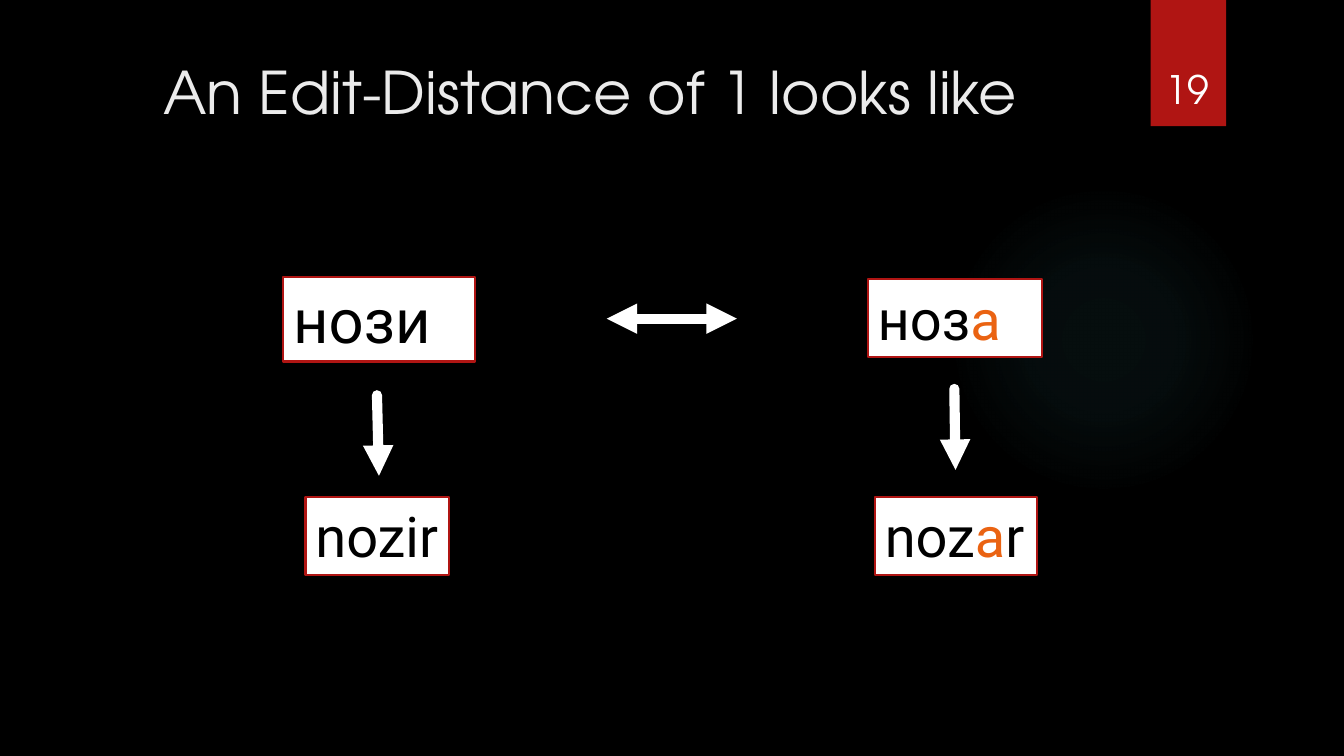
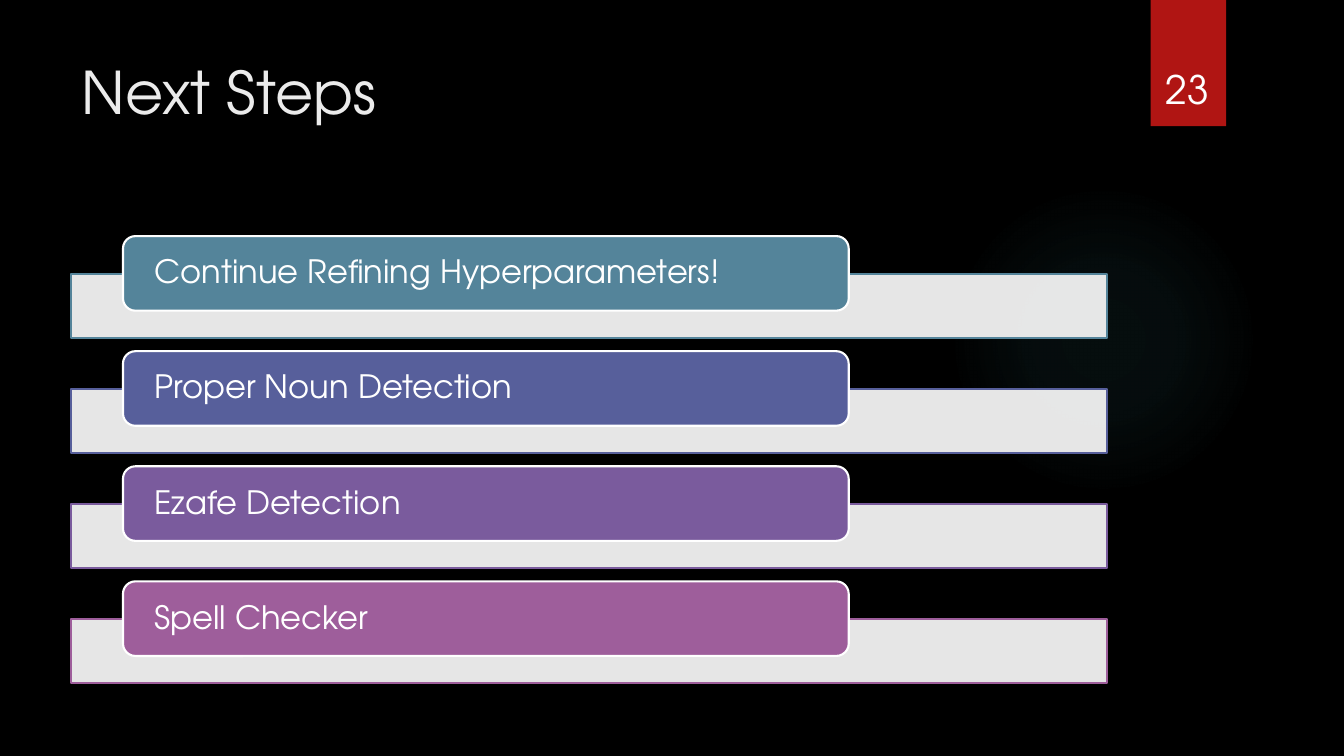
from lxml import etree
from pptx import Presentation
from pptx.dml.color import RGBColor
from pptx.enum import shapes, text
from pptx.oxml import ns, parse_xml
from pptx.util import Cm, Pt

# Shared look
BLACK, WHITE, RED, ORANGE = "000000", "FFFFFF", "B01513", "EA6312"
TITLE_COLOUR, GLOW_COLOUR = "EBEBEB", "50B9C1"
GLOW_STOPS = [(0, 7), (36, 6), (69, 0)]  # position and opacity, percent
HEADING_FONT, WORD_FONT = "TeX Gyre Adventor", "Roboto"
LEFT = 1.8

# Steps: equal rows of a pale rail with a coloured card on it
STEPS = [
    ("Continue Refining Hyperparameters!", "54849A"),
    ("Proper Noun Detection", "575F9B"),
    ("Ezafe Detection", "7A5B9D"),
    ("Spell Checker", "9E5E9B"),
]
STEP_TOP, STEP_PITCH, RAIL_DROP = 5.95, 2.9, 0.96


def colour(hex_text):
    return RGBColor.from_string(hex_text)


def lengths(*values):
    return [Cm(value) for value in values]


def add_run(paragraph, wording, size, font, run_colour):
    run = paragraph.add_run()
    run.text = wording
    run.font.size = Pt(size)
    run.font.name = font
    run.font.color.rgb = colour(run_colour)


def add_block(slide, kind, place, fill=None, line=None):
    block = slide.shapes.add_shape(kind, *lengths(*place))
    block.shadow.inherit = False
    if fill:
        block.fill.solid()
        block.fill.fore_color.rgb = colour(fill)
    else:
        block.fill.background()
    if line:
        block.line.color.rgb = colour(line)
        block.line.width = Pt(1.5)
    else:
        block.line.fill.background()
    return block


def add_arrow(slide, start, end, ends=("tailEnd",)):
    arrow = slide.shapes.add_connector(
        shapes.MSO_CONNECTOR.STRAIGHT, *lengths(*start, *end))
    arrow.line.color.rgb = colour(WHITE)
    arrow.line.width = Pt(7.25)
    outline = arrow.element.spPr.find(ns.qn("a:ln"))
    outline.set("cap", "rnd")
    for name in ends:
        etree.SubElement(outline, ns.qn("a:" + name), type="triangle")
    etree.SubElement(arrow.element.spPr, ns.qn("a:effectLst"))


def add_glow(slide):
    glow = add_block(slide, shapes.MSO_SHAPE.OVAL, (23.9, 4.65, 7.82, 7.82))
    stops = "".join(
        f'<a:gs pos="{place * 1000}"><a:srgbClr val="{GLOW_COLOUR}">'
        f'<a:alpha val="{opacity * 1000}"/></a:srgbClr></a:gs>'
        for place, opacity in GLOW_STOPS)
    gradient = parse_xml(
        f'<a:gradFill {ns.nsdecls("a")}><a:gsLst>{stops}</a:gsLst>'
        '<a:path path="circle"><a:fillToRect l="50000" t="50000" r="50000" b="50000"/>'
        '</a:path></a:gradFill>')
    properties = glow.element.spPr
    properties.replace(properties.find(ns.qn("a:noFill")), gradient)


def add_page(deck, heading, number, alignment):
    slide = deck.slides.add_slide(deck.slide_layouts[5])
    add_glow(slide)
    add_block(slide, shapes.MSO_SHAPE.RECTANGLE, (29, 0, 1.9, 3.18), RED)

    # Title
    title = slide.shapes.title
    title.left, title.top, title.width, title.height = lengths(LEFT, 1.27, 26.14, 3.89)
    title.text_frame.vertical_anchor = text.MSO_ANCHOR.TOP
    title.text_frame.auto_size = text.MSO_AUTO_SIZE.NONE
    paragraph = title.text_frame.paragraphs[0]
    paragraph.alignment = alignment
    add_run(paragraph, heading, 42, HEADING_FONT, TITLE_COLOUR)

    # Page number on the ribbon
    page_number = slide.shapes.add_textbox(*lengths(28.75, 0.83, 2.34, 2.13)).text_frame
    page_number.word_wrap = True
    page_number.vertical_anchor = text.MSO_ANCHOR.BOTTOM
    paragraph = page_number.paragraphs[0]
    paragraph.alignment = text.PP_ALIGN.CENTER
    add_run(paragraph, number, 28, HEADING_FONT, WHITE)
    return slide


def add_word(slide, place, parts, size=40):
    word = add_block(slide, shapes.MSO_SHAPE.RECTANGLE, place, WHITE, RED)
    frame = word.text_frame
    frame.word_wrap = True
    frame.auto_size = text.MSO_AUTO_SIZE.NONE
    frame.margin_right = 0
    frame.vertical_anchor = text.MSO_ANCHOR.TOP
    paragraph = frame.paragraphs[0]
    paragraph.alignment = text.PP_ALIGN.LEFT
    for wording, part_colour in parts:
        add_run(paragraph, wording, size, WORD_FONT, part_colour)


def add_step(slide, top, wording, step_colour):
    rail = add_block(slide, shapes.MSO_SHAPE.RECTANGLE,
                     (LEFT, top + RAIL_DROP, 26.11, 1.6), WHITE, step_colour)
    rail_colour = rail.element.spPr.find(ns.qn("a:solidFill"))[0]
    etree.SubElement(rail_colour, ns.qn("a:alpha"), val="90000")

    card = add_block(slide, shapes.MSO_SHAPE.ROUNDED_RECTANGLE,
                     (3.1, top, 18.29, 1.88), step_colour, WHITE)
    frame = card.text_frame
    frame.margin_left = frame.margin_right = Cm(0.7)
    frame.margin_top = frame.margin_bottom = 0
    frame.vertical_anchor = text.MSO_ANCHOR.MIDDLE
    paragraph = frame.paragraphs[0]
    paragraph.alignment = text.PP_ALIGN.LEFT
    paragraph.line_spacing = 0.9
    add_run(paragraph, wording, 23, HEADING_FONT, WHITE)


def build_edit_distance(deck):
    slide = add_page(deck, "An Edit-Distance of 1 looks like", "19",
                     text.PP_ALIGN.CENTER)
    # Word pairs: Cyrillic above, Latin below
    add_word(slide, (7.14, 6.98, 4.83, 2.13), [("нози", BLACK)], size=44)
    add_word(slide, (7.7, 12.52, 3.61, 1.96), [("nozir", BLACK)])
    add_word(slide, (21.87, 7.04, 4.39, 1.96), [("ноз", BLACK), ("а", ORANGE)])
    add_word(slide, (22.05, 12.52, 4.09, 1.96),
             [("noz", BLACK), ("a", ORANGE), ("r", BLACK)])
    # Arrows between the words
    add_arrow(slide, (15.29, 8.03), (18.57, 8.03), ("headEnd", "tailEnd"))
    add_arrow(slide, (9.5, 9.96), (9.55, 11.99))
    add_arrow(slide, (24.05, 9.8), (24.08, 11.84))


def build_next_steps(deck):
    slide = add_page(deck, "Next Steps", "23", text.PP_ALIGN.LEFT)
    for row, (wording, step_colour) in enumerate(STEPS):
        add_step(slide, STEP_TOP + row * STEP_PITCH, wording, step_colour)


def main():
    deck = Presentation()
    deck.slide_width, deck.slide_height = lengths(33.87, 19.05)
    backdrop = deck.slide_master.background.fill
    backdrop.solid()
    backdrop.fore_color.rgb = colour(BLACK)
    build_edit_distance(deck)
    build_next_steps(deck)
    deck.save("out.pptx")


if __name__ == "__main__":
    main()
